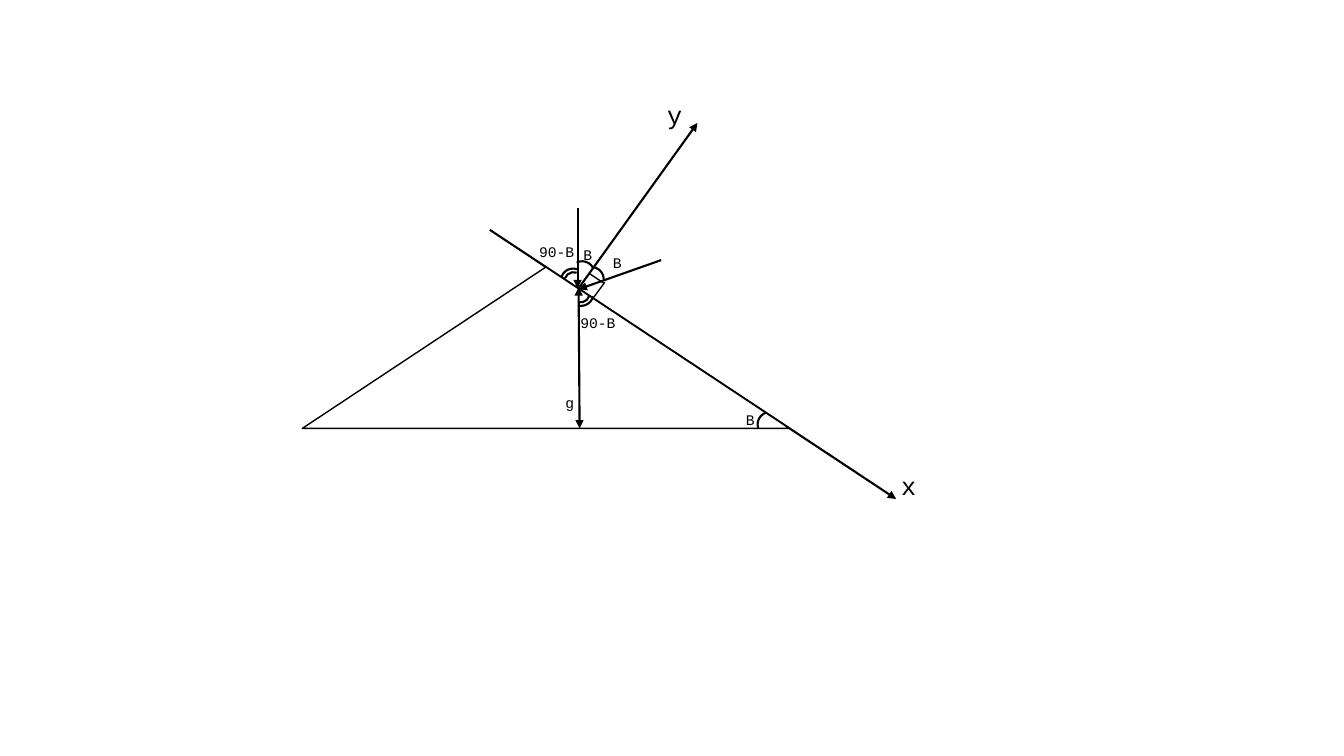
from lxml import etree
from pptx import Presentation
from pptx.dml.color import RGBColor
from pptx.enum.shapes import MSO_CONNECTOR, MSO_SHAPE
from pptx.enum.text import MSO_AUTO_SIZE
from pptx.oxml.ns import qn
from pptx.util import Pt

STRAIGHT = MSO_CONNECTOR.STRAIGHT
ARC = MSO_SHAPE.ARC
TRIANGLE = MSO_SHAPE.ISOSCELES_TRIANGLE
FIT_SHAPE = MSO_AUTO_SIZE.SHAPE_TO_FIT_TEXT

INK = "000000"
PAPER = "FFFFFF"
FONT = "Courier New"
THIN, THICK = 1, 1.5
SMALL_ARC, LARGE_ARC = (13, 13), (17.3, 18)

AXES = [
    ((197.3, 137.9), (282.2, 19.8), THICK, ["tailEnd"]),
    ((133.9, 96.2), (424.1, 288.4), THICK, ["tailEnd"]),
]
RAYS = [
    ((197.3, 137.2), (198, 238), THICK, ["headEnd", "tailEnd"]),
    ((208.1, 144.4), (216, 133.6), THIN, []),
    ((215.3, 134.3), (204.5, 127.1), THIN, []),
    ((196.6, 80.3), (196.6, 137.9), THICK, ["tailEnd"]),
    ((256.3, 117.8), (197.3, 138.6), THICK, ["tailEnd"]),
]
ANGLE_ARCS = [
    (187.2, 126.4, SMALL_ARC, 289.9),
    (185, 123.5, LARGE_ARC, 289.9),
    (192.2, 135, SMALL_ARC, 104.5),
    (190.1, 132.9, LARGE_ARC, 101.2),
    (325.4, 225.8, LARGE_ARC, 251.6),
    (191.5, 118.5, LARGE_ARC, 332.2),
    (198, 122.8, LARGE_ARC, 6.6),
]
LABELS = [
    ("x", 420.5, 264.6, 25.2, 28.8, 18),
    ("y", 253.4, -0.3, 25.2, 28.8, 18),
    ("B", 309.6, 222.2, 20.9, 20.9, 10.5),
    ("90-B", 191.5, 152.3, 41, 20.9, 10.5),
    ("90-B", 162, 101.9, 41, 20.9, 10.5),
    ("B", 193.7, 104.1, 20.9, 20.9, 10.5),
    ("B", 214.6, 109.8, 20.9, 20.9, 10.5),
    ("g", 180.7, 209.9, 20.9, 20.2, 10.5),
]


def color(hex_code):
    return RGBColor.from_string(hex_code)


def set_line(part, width):
    part.line.color.rgb = color(INK)
    part.line.width = Pt(width)


def add_ray(shapes, left, top, start, end, width, arrowheads):
    ray = shapes.add_connector(
        STRAIGHT,
        Pt(left + start[0]), Pt(top + start[1]),
        Pt(left + end[0]), Pt(top + end[1]),
    )
    set_line(ray, width)
    properties = ray.element.spPr
    outline = properties.find(qn("a:ln"))
    for arrowhead in arrowheads:
        etree.SubElement(outline, qn(f"a:{arrowhead}"), type="triangle")
    etree.SubElement(properties, qn("a:effectLst"))


def add_incline(shapes, left, top, width, height):
    incline = shapes.add_shape(TRIANGLE, Pt(left), Pt(top), Pt(width), Pt(height))
    incline.shadow.inherit = False
    incline.fill.solid()
    incline.fill.fore_color.rgb = color(PAPER)
    set_line(incline, THIN)


def add_angle_arc(shapes, left, top, size, rotation):
    angle = shapes.add_shape(ARC, Pt(left), Pt(top), Pt(size[0]), Pt(size[1]))
    angle.shadow.inherit = False
    angle.fill.background()
    angle.rotation = rotation
    set_line(angle, THICK)


def add_label(shapes, text, left, top, width, height, size):
    label = shapes.add_textbox(Pt(left), Pt(top), Pt(width), Pt(height))
    frame = label.text_frame
    frame.word_wrap = False
    frame.auto_size = FIT_SHAPE
    paragraph = frame.paragraphs[0]
    paragraph.text = text
    paragraph.font.name = FONT
    paragraph.font.size = Pt(size)
    paragraph.font.color.rgb = color(INK)


def add_force_diagram(slide, left, top):
    shapes = slide.shapes.add_group_shape().shapes
    for axis in AXES:
        add_ray(shapes, left, top, *axis)
    add_incline(shapes, left, top + 122.8, 347.8, 115.2)
    for ray in RAYS:
        add_ray(shapes, left, top, *ray)
    for x, y, size, rotation in ANGLE_ARCS:
        add_angle_arc(shapes, left + x, top + y, size, rotation)
    for text, x, y, width, height, size in LABELS:
        add_label(shapes, text, left + x, top + y, width, height, size)


def main():
    presentation = Presentation()
    presentation.slide_width = Pt(960)
    presentation.slide_height = Pt(540)
    slide = presentation.slides.add_slide(presentation.slide_layouts[6])
    add_force_diagram(slide, 216, 68)
    presentation.save("out.pptx")


if __name__ == "__main__":
    main()
